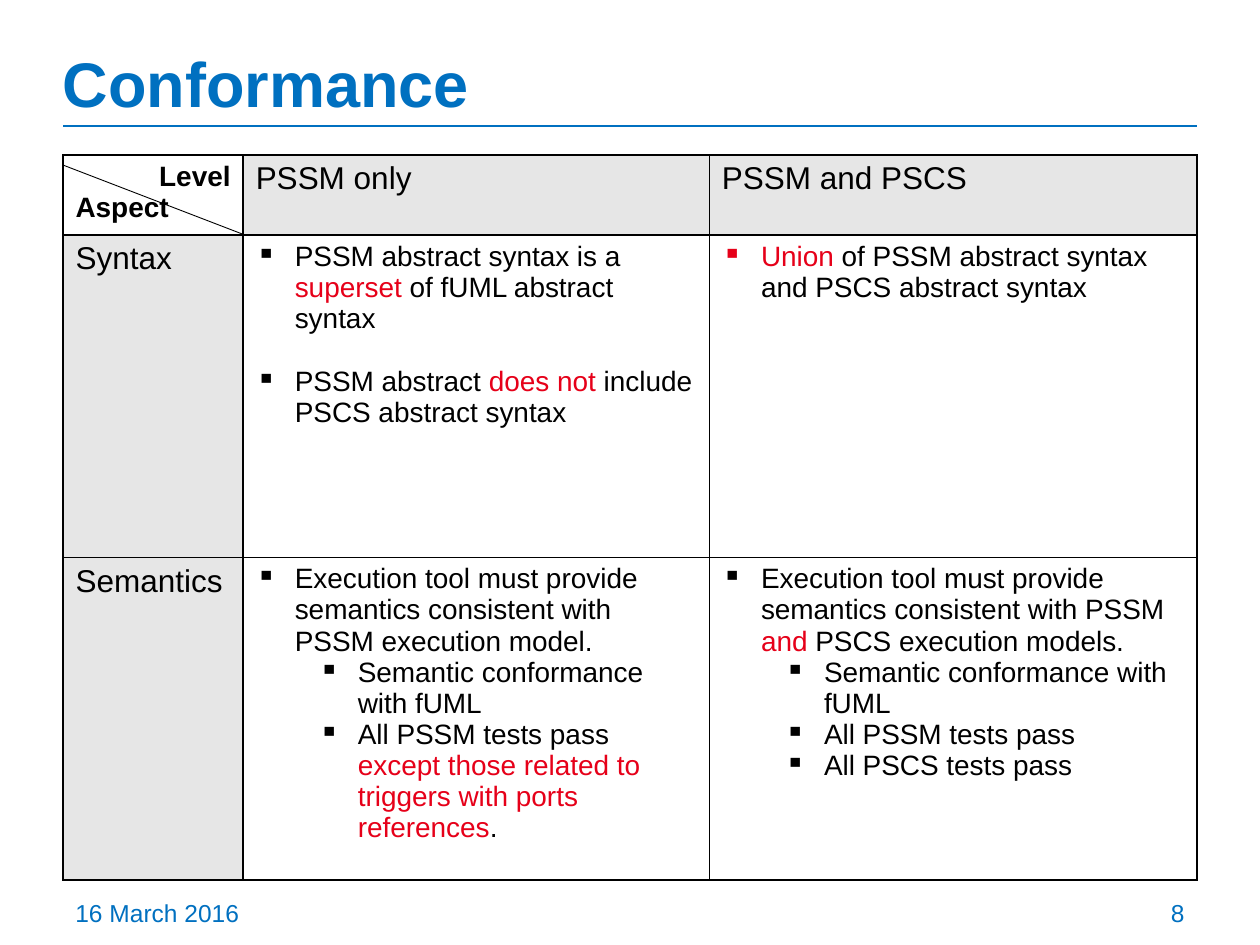
from lxml.etree import SubElement
from pptx import Presentation
from pptx.dml.color import RGBColor
from pptx.enum.shapes import MSO_CONNECTOR
from pptx.enum.text import MSO_ANCHOR, PP_ALIGN
from pptx.oxml.ns import qn
from pptx.util import Inches, Pt

BLUE, BLACK, RED, GRAY, WHITE = "0070C0", "000000", "E60019", "E6E6E6", "FFFFFF"
LEFT, RIGHT = 0.5, 9.5
TABLE_TOP = 1.23
COLUMN_WIDTHS = [1.43, 3.7, 3.87]
ROW_HEIGHTS = [0.6, 2.56, 2.56]
INDENT, LEVEL_STEP = 0.31, 0.5

LEVELS = ["PSSM only", "PSSM and PSCS"]
ASPECTS = ["Syntax", "Semantics"]
# Each entry is (outline level, text); asterisks enclose red words.
DETAILS = [
    [
        [(0, "PSSM abstract syntax is a *superset* of fUML abstract syntax"),
         (0, "PSSM abstract *does not *include PSCS abstract syntax")],
        [(0, "*Union* of PSSM abstract syntax and PSCS abstract syntax")],
    ],
    [
        [(0, "Execution tool must provide semantics consistent with PSSM execution model."),
         (1, "Semantic conformance with fUML"),
         (1, "All PSSM tests pass *except those related to triggers with ports references*.")],
        [(0, "Execution tool must provide semantics consistent with PSSM *and* PSCS execution models."),
         (1, "Semantic conformance with fUML"),
         (1, "All PSSM tests pass"),
         (1, "All PSCS tests pass")],
    ],
]


def color(value):
    return RGBColor.from_string(value)


def style(para, size, value=BLACK, bold=False, align=PP_ALIGN.LEFT):
    para.font.name = "Arial"
    para.font.size = Pt(size)
    para.font.bold = bold
    para.font.color.rgb = color(value)
    para.alignment = align


def add_text(page, text, left, top, width, height, size, **options):
    box = page.shapes.add_textbox(Inches(left), Inches(top), Inches(width), Inches(height))
    frame = box.text_frame
    frame.word_wrap = True
    frame.paragraphs[0].text = text
    style(frame.paragraphs[0], size, BLUE, **options)
    return frame


def add_line(page, start, end, value, width):
    points = [Inches(number) for number in (*start, *end)]
    line = page.shapes.add_connector(MSO_CONNECTOR.STRAIGHT, *points)
    line.line.color.rgb = color(value)
    line.line.width = Pt(width)
    SubElement(line._element.spPr, qn("a:effectLst"))


def format_cell(cell, fill):
    properties = cell._tc.get_or_add_tcPr()
    for side in ("lnL", "lnR", "lnT", "lnB"):
        border = SubElement(properties, qn(f"a:{side}"), w=str(Pt(1)))
        SubElement(SubElement(border, qn("a:solidFill")), qn("a:srgbClr"), val=BLACK)
    cell.fill.solid()
    cell.fill.fore_color.rgb = color(fill)


def fill_heading(cell, text):
    format_cell(cell, GRAY)
    cell.text = text
    style(cell.text_frame.paragraphs[0], 18)


def fill_bullets(cell, items):
    format_cell(cell, WHITE)
    frame = cell.text_frame
    for index, (level, text) in enumerate(items):
        para = frame.paragraphs[0] if index == 0 else frame.add_paragraph()
        style(para, 16)
        para.level = level
        if index and level == 0:
            para.space_before = Pt(18)
        properties = para._p.get_or_add_pPr()
        properties.set("marL", str(Inches(INDENT + level * LEVEL_STEP)))
        properties.set("indent", str(Inches(-INDENT)))
        bullet = properties.makeelement(qn("a:buChar"), {"char": "▪"})
        properties.find(qn("a:defRPr")).addprevious(bullet)
        for position, part in enumerate(text.split("*")):
            if part:
                span = para.add_run()
                span.text = part
                span.font.color.rgb = color(RED if position % 2 else BLACK)


def add_conformance_table(page):
    frame = page.shapes.add_table(
        len(ROW_HEIGHTS), len(COLUMN_WIDTHS), Inches(LEFT), Inches(TABLE_TOP),
        Inches(sum(COLUMN_WIDTHS)), Inches(sum(ROW_HEIGHTS)))
    table = frame.table
    for column, width in zip(table.columns, COLUMN_WIDTHS):
        column.width = Inches(width)
    for row, height in zip(table.rows, ROW_HEIGHTS):
        row.height = Inches(height)

    corner = table.cell(0, 0)
    format_cell(corner, WHITE)
    corner.text = "Level\nAspect"
    for para, align in zip(corner.text_frame.paragraphs, (PP_ALIGN.RIGHT, PP_ALIGN.LEFT)):
        style(para, 16, bold=True, align=align)

    for column, level in enumerate(LEVELS, 1):
        fill_heading(table.cell(0, column), level)
    for row, (aspect, details) in enumerate(zip(ASPECTS, DETAILS), 1):
        fill_heading(table.cell(row, 0), aspect)
        for column, items in enumerate(details, 1):
            fill_bullets(table.cell(row, column), items)


def main():
    deck = Presentation()
    deck.slide_width, deck.slide_height = Inches(10), Inches(7.5)
    page = deck.slides.add_slide(deck.slide_layouts[6])

    add_line(page, (LEFT, 1), (RIGHT, 1), BLUE, 1.5)
    title = add_text(page, "Conformance", LEFT, 0.33, RIGHT - LEFT, 0.67, 36, bold=True)
    title.margin_left = 0
    title.vertical_anchor = MSO_ANCHOR.BOTTOM
    footer_width = 2.33
    add_text(page, "16 March 2016", LEFT, 7.08, footer_width, 0.27, 14)
    add_text(page, "8", RIGHT - footer_width, 7.08, footer_width, 0.27, 14,
             align=PP_ALIGN.RIGHT)
    add_conformance_table(page)
    add_line(page, (LEFT, 1.31), (LEFT + COLUMN_WIDTHS[0], 1.86), BLACK, 0.5)
    deck.save("out.pptx")


if __name__ == "__main__":
    main()
